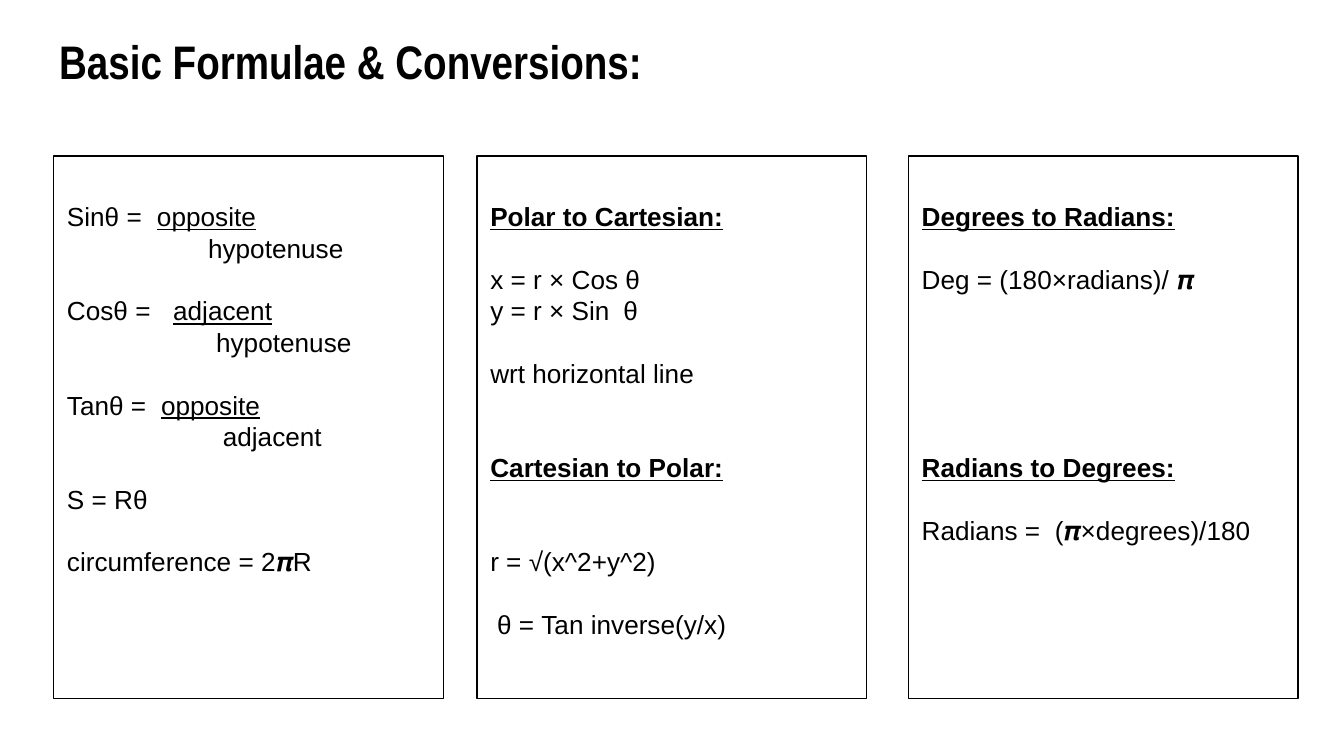
from dataclasses import dataclass

from lxml import etree
from pptx import Presentation
from pptx.dml.color import RGBColor
from pptx.enum.shapes import MSO_SHAPE
from pptx.enum.text import MSO_ANCHOR, MSO_AUTO_SIZE, PP_ALIGN
from pptx.oxml.ns import qn
from pptx.util import Inches, Pt

RECTANGLE = MSO_SHAPE.RECTANGLE
TOP, MIDDLE = MSO_ANCHOR.TOP, MSO_ANCHOR.MIDDLE
LEFT = PP_ALIGN.LEFT
NO_AUTOFIT = MSO_AUTO_SIZE.NONE
TITLE_ONLY = 5


@dataclass(frozen=True)
class Theme:
    ink: RGBColor = RGBColor(0, 0, 0)
    title_font: str = "Arial Narrow"
    body_font: str = "Arial"
    title_size: float = 25.2
    body_size: float = 14
    line_pitch: float = 16.8
    border: float = 0.75


THEME = Theme()


def add_text(paragraph, text, font=THEME.body_font, size=THEME.body_size,
             bold=False, underline=False):
    run = paragraph.add_run()
    run.text = text
    run.font.name, run.font.size = font, Pt(size)
    run.font.bold, run.font.underline = bold, underline
    run.font.color.rgb = THEME.ink


def format_line(paragraph, blank_lines=0, indent=0, tab=0):
    """Set the gap above in whole lines, and the indent and tab stop in inches."""
    properties = paragraph._p.get_or_add_pPr()
    if indent:
        properties.set("marL", str(Inches(indent)))
    if tab:
        stops = etree.SubElement(properties, qn("a:tabLst"))
        etree.SubElement(stops, qn("a:tab"), pos=str(Inches(tab)), algn="l")
    paragraph.alignment = LEFT
    paragraph.line_spacing = Pt(THEME.line_pitch)
    paragraph.space_before = Pt(blank_lines * THEME.line_pitch)


prs = Presentation()
prs.slide_width = Inches(10)
prs.slide_height = prs.slide_width * 9 // 16
slide = prs.slides.add_slide(prs.slide_layouts[TITLE_ONLY])

title = slide.shapes.title
title.left, title.top = Inches(0.34), Inches(0.14)
title.width, title.height = Inches(9.32), Inches(0.63)
heading = title.text_frame
heading.margin_left = heading.margin_right = Inches(0.1)
heading.margin_top = heading.margin_bottom = Inches(0.1)
heading.vertical_anchor = MIDDLE
heading.auto_size = NO_AUTOFIT
heading.paragraphs[0].alignment = LEFT
add_text(heading.paragraphs[0], "Basic Formulae & Conversions:",
         font=THEME.title_font, size=THEME.title_size, bold=True)

# Each line: its text runs with their format, then its layout.
HEADING = {"bold": True, "underline": True}
UNDERLINED = {"underline": True}

ratios = []
for name, numerator, numerator_at, denominator, denominator_at in [
    ("Sinθ", "opposite", 0.67, "hypotenuse", 1.05),
    ("Cosθ", "adjacent", 0.79, "hypotenuse", 1.11),
    ("Tanθ", "opposite", 0.7, "adjacent", 1.16),
]:
    ratios += [
        ([(f"{name} =\t", {}), (numerator, UNDERLINED)],
         {"blank_lines": 1 if ratios else 0, "tab": numerator_at}),
        ([(denominator, {})], {"indent": denominator_at}),
    ]
ratios += [
    ([("S = Rθ", {})], {"blank_lines": 1}),
    ([("circumference = 2𝝅R", {})], {"blank_lines": 1}),
]

coordinates = [
    ([("Polar to Cartesian:", HEADING)], {}),
    ([("x = r × Cos θ", {})], {"blank_lines": 1}),
    ([("y = r × Sin\tθ", {})], {"tab": 0.99}),
    ([("wrt horizontal line", {})], {"blank_lines": 1}),
    ([("Cartesian to Polar:", HEADING)], {"blank_lines": 2}),
    ([("r = √(x^2+y^2)", {})], {"blank_lines": 2}),
    ([("θ = Tan inverse(y/x)", {})], {"blank_lines": 1, "indent": 0.05}),
]

angles = [
    ([("Degrees to Radians:", HEADING)], {}),
    ([("Deg = (180×radians)/ 𝝅", {})], {"blank_lines": 1}),
    ([("Radians to Degrees:", HEADING)], {"blank_lines": 5}),
    ([("Radians =\t(𝝅×degrees)/180", {})], {"blank_lines": 1, "tab": 0.99}),
]

for left, lines in [(0.4, ratios), (3.55, coordinates), (6.76, angles)]:
    panel = slide.shapes.add_shape(
        RECTANGLE, Inches(left), Inches(1.16), Inches(2.9), Inches(4.04))
    panel.shadow.inherit = False
    panel.fill.background()
    panel.line.color.rgb = THEME.ink
    panel.line.width = Pt(THEME.border)

    frame = panel.text_frame
    frame.word_wrap = True
    frame.vertical_anchor = TOP
    frame.margin_left = frame.margin_right = frame.margin_bottom = Inches(0.1)
    frame.margin_top = Inches(0.1) + Pt(THEME.line_pitch)
    for number, (runs, layout) in enumerate(lines):
        paragraph = frame.add_paragraph() if number else frame.paragraphs[0]
        format_line(paragraph, **layout)
        for text, style in runs:
            add_text(paragraph, text, **style)

prs.save("out.pptx")
